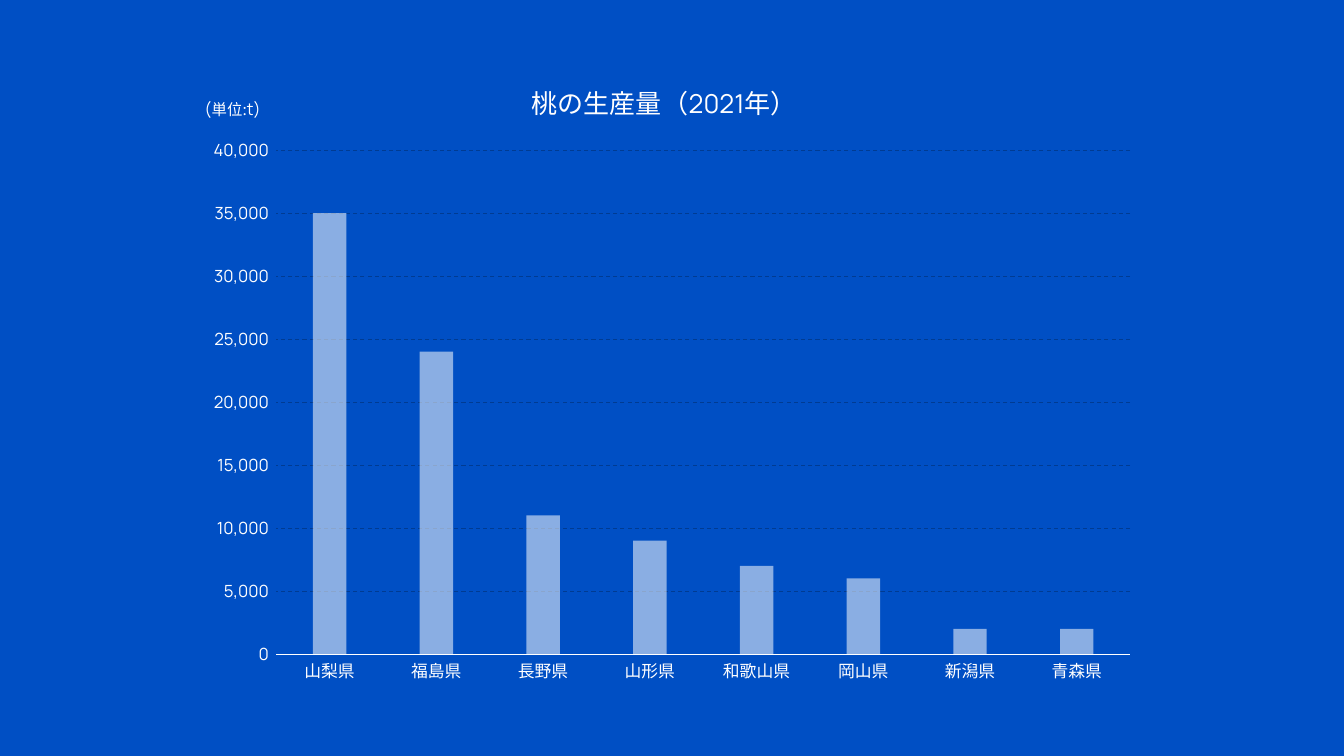
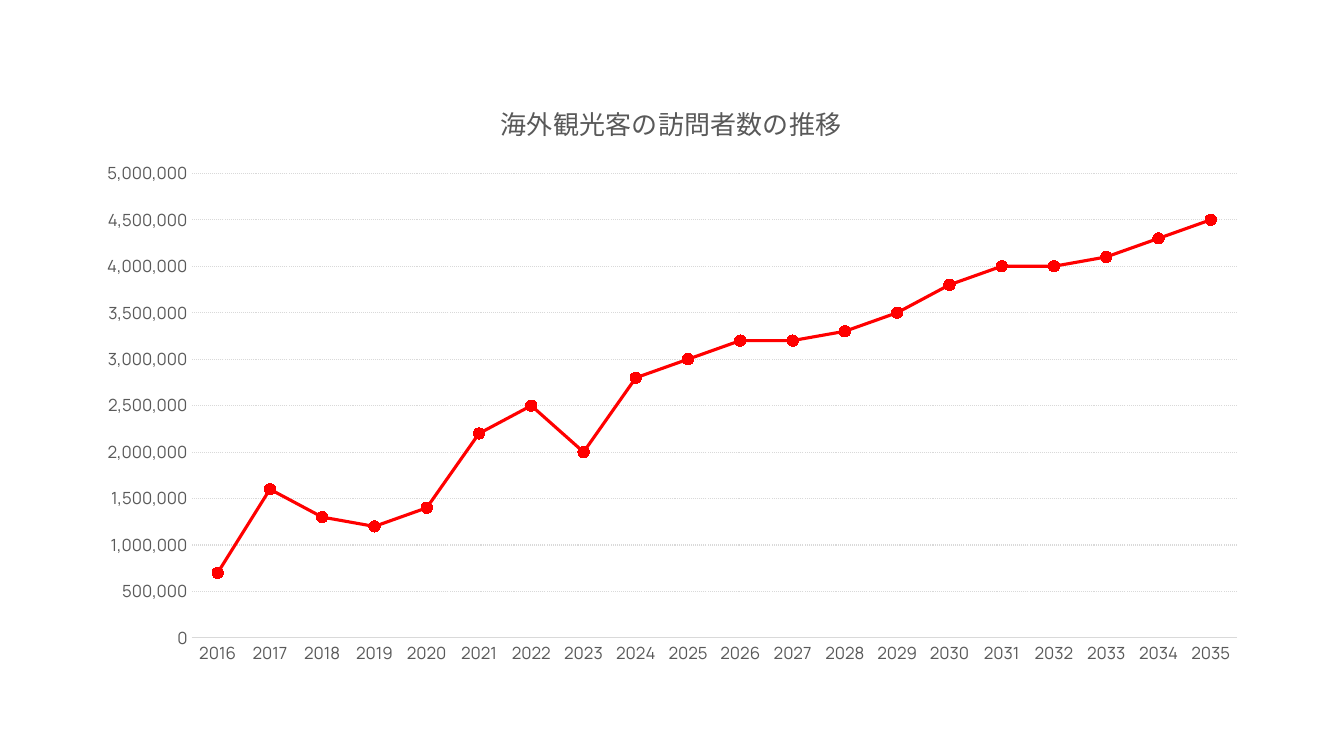
"""Build two chart slides: peach production and overseas visitor numbers."""
from dataclasses import dataclass

from lxml.etree import SubElement
from pptx import Presentation
from pptx.chart.data import CategoryChartData
from pptx.dml.color import RGBColor
from pptx.enum.chart import XL_CHART_TYPE, XL_MARKER_STYLE, XL_TICK_MARK
from pptx.enum.dml import MSO_LINE
from pptx.enum.text import MSO_AUTO_SIZE
from pptx.oxml import parse_xml
from pptx.oxml.ns import nsdecls, qn
from pptx.util import Inches, Pt


@dataclass(frozen=True)
class Theme:
    blue: str = "004FC4"
    navy: str = "003B92"
    white: str = "FFFFFF"
    grey: str = "595959"
    pale: str = "D9D9D9"
    red: str = "FF0000"
    latin: str = "Manrope"
    japanese: str = "Noto Sans CJK JP"
    title_size: float = 18.6
    label_size: float = 12
    unit_size: float = 11
    chart_size: float = 10
    hairline: float = 0.75
    series_line: float = 2.25
    marker_size: int = 8
    bar_opacity: int = 54


THEME = Theme()

PEACHES = {
    "title": "桃の生産量（2021年）",
    "type": XL_CHART_TYPE.COLUMN_CLUSTERED,
    "categories": ["山梨県", "福島県", "長野県", "山形県", "和歌山県", "岡山県", "新潟県", "青森県"],
    "values": [35000, 24000, 11000, 9000, 7000, 6000, 2000, 2000],
    "maximum": 40000,
    "step": 5000,
    "format": r"#,##0_);[Red]\(#,##0\)",
    "box": (1.93, 0.59, 9.47, 6.31),
    "plot": (2.74, 1.49, 8.47, 5),
    "title_at": (5.22, 0.75),
    "background": THEME.blue,
    "text": THEME.white,
    "axis": THEME.white,
    "grid": THEME.navy,
    "dash": MSO_LINE.DASH,
    "category_font": THEME.japanese,
}
VISITORS = {
    "title": "海外観光客の訪問者数の推移",
    "type": XL_CHART_TYPE.LINE_MARKERS,
    "categories": [str(year) for year in range(2016, 2036)],
    "values": [700000, 1600000, 1300000, 1200000, 1400000, 2200000, 2500000,
               2000000, 2800000, 3000000, 3200000, 3200000, 3300000, 3500000,
               3800000, 4000000, 4000000, 4100000, 4300000, 4500000],
    "maximum": 5000000,
    "step": 500000,
    "format": "#,##0",
    "box": (0.83, 0.79, 11.68, 5.93),
    "plot": (1.9, 1.72, 10.37, 4.61),
    "title_at": (4.92, 0.95),
    "background": THEME.white,
    "text": THEME.grey,
    "axis": THEME.pale,
    "grid": THEME.pale,
    "dash": MSO_LINE.ROUND_DOT,
    "category_font": THEME.latin,
}
UNIT_BOX = (1.93, 0.93, 1.03, 0.3)
UNIT_SPANS = [
    ("(", THEME.latin, THEME.label_size),
    ("単位:", THEME.japanese, THEME.unit_size),
    ("t)", THEME.latin, THEME.label_size),
]


def color(value):
    return RGBColor.from_string(value)


def style_font(font, name, size, value):
    font.name, font.size, font.bold = name, Pt(size), False
    font.color.rgb = color(value)


def style_line(line, value, width):
    line.color.rgb = color(value)
    line.width = Pt(width)


def manual_layout(box, place, inner=False):
    """Return a layout element placing slide inches within the chart box."""
    left, top, width, height = box
    parts = {"x": (place[0] - left) / width, "y": (place[1] - top) / height}
    if inner:
        parts |= {"w": place[2] / width, "h": place[3] / height}
    target = '<c:layoutTarget val="inner"/>' if inner else ""
    modes = "".join(f'<c:{axis}Mode val="edge"/>' for axis in "xy")
    values = "".join(f'<c:{key} val="{part:.4f}"/>' for key, part in parts.items())
    return parse_xml(f'<c:layout {nsdecls("c")}><c:manualLayout>{target}{modes}{values}'
                     "</c:manualLayout></c:layout>")


def set_layout(parent, layout, index):
    for old in parent.findall(qn("c:layout")):
        parent.remove(old)
    parent.insert(index, layout)


def style_axes(chart, content):
    category, value = chart.category_axis, chart.value_axis
    for axis, name in ((category, content["category_font"]), (value, THEME.latin)):
        axis.major_tick_mark = axis.minor_tick_mark = XL_TICK_MARK.NONE
        style_font(axis.tick_labels.font, name, THEME.label_size, content["text"])
    style_line(category.format.line, content["axis"], THEME.hairline)
    value.format.line.fill.background()
    value.minimum_scale, value.maximum_scale = 0, content["maximum"]
    value.major_unit = content["step"]
    value.tick_labels.number_format = content["format"]
    value.tick_labels.number_format_is_linked = False
    grid = value.major_gridlines.format.line
    style_line(grid, content["grid"], THEME.hairline)
    grid.dash_style = content["dash"]


def add_chart_slide(deck, content):
    page = deck.slides.add_slide(deck.slide_layouts[6])
    page.background.fill.solid()
    page.background.fill.fore_color.rgb = color(content["background"])
    data = CategoryChartData()
    data.categories = content["categories"]
    data.add_series("Series 1", content["values"])
    box = content["box"]
    chart = page.shapes.add_chart(content["type"], *map(Inches, box), data).chart
    chart.has_legend = False
    chart.font.name, chart.font.size = THEME.japanese, Pt(THEME.chart_size)
    chart.has_title = True
    frame = chart.chart_title.text_frame
    frame.text = content["title"]
    style_font(frame.paragraphs[0].font, THEME.latin, THEME.title_size, content["text"])
    style_axes(chart, content)
    chart.plots[0].vary_by_categories = False

    root = chart.element
    set_layout(root.find(".//" + qn("c:title")),
               manual_layout(box, content["title_at"]), 1)
    set_layout(root.find(".//" + qn("c:plotArea")),
               manual_layout(box, content["plot"], inner=True), 0)
    for latin in list(root.iter(qn("a:latin"))):
        latin.addnext(parse_xml(f'<a:ea {nsdecls("a")} typeface="{THEME.japanese}"/>'))
    return page, chart


def style_columns(chart):
    plot = chart.plots[0]
    plot.gap_width, plot.overlap = 219, -27
    fill = plot.series[0].format.fill
    fill.solid()
    fill.fore_color.rgb = color(THEME.white)
    shade = chart.element.find(".//" + qn("c:ser")).find(".//" + qn("a:srgbClr"))
    SubElement(shade, qn("a:alpha"), val=str(THEME.bar_opacity * 1000))


def style_trend(chart):
    series = chart.plots[0].series[0]
    series.smooth = False
    style_line(series.format.line, THEME.red, THEME.series_line)
    marker = series.marker
    marker.style, marker.size = XL_MARKER_STYLE.CIRCLE, THEME.marker_size
    marker.format.fill.solid()
    marker.format.fill.fore_color.rgb = color(THEME.red)
    style_line(marker.format.line, THEME.red, THEME.hairline)


def add_unit(page):
    frame = page.shapes.add_textbox(*map(Inches, UNIT_BOX)).text_frame
    frame.word_wrap = True
    frame.auto_size = MSO_AUTO_SIZE.SHAPE_TO_FIT_TEXT
    para = frame.paragraphs[0]
    for text, name, size in UNIT_SPANS:
        span = para.add_run()
        span.text = text
        style_font(span.font, name, size, THEME.white)


def main():
    deck = Presentation()
    deck.slide_width, deck.slide_height = Inches(13.33), Inches(7.5)
    page, chart = add_chart_slide(deck, PEACHES)
    style_columns(chart)
    add_unit(page)
    page, chart = add_chart_slide(deck, VISITORS)
    style_trend(chart)
    deck.save("out.pptx")


if __name__ == "__main__":
    main()
